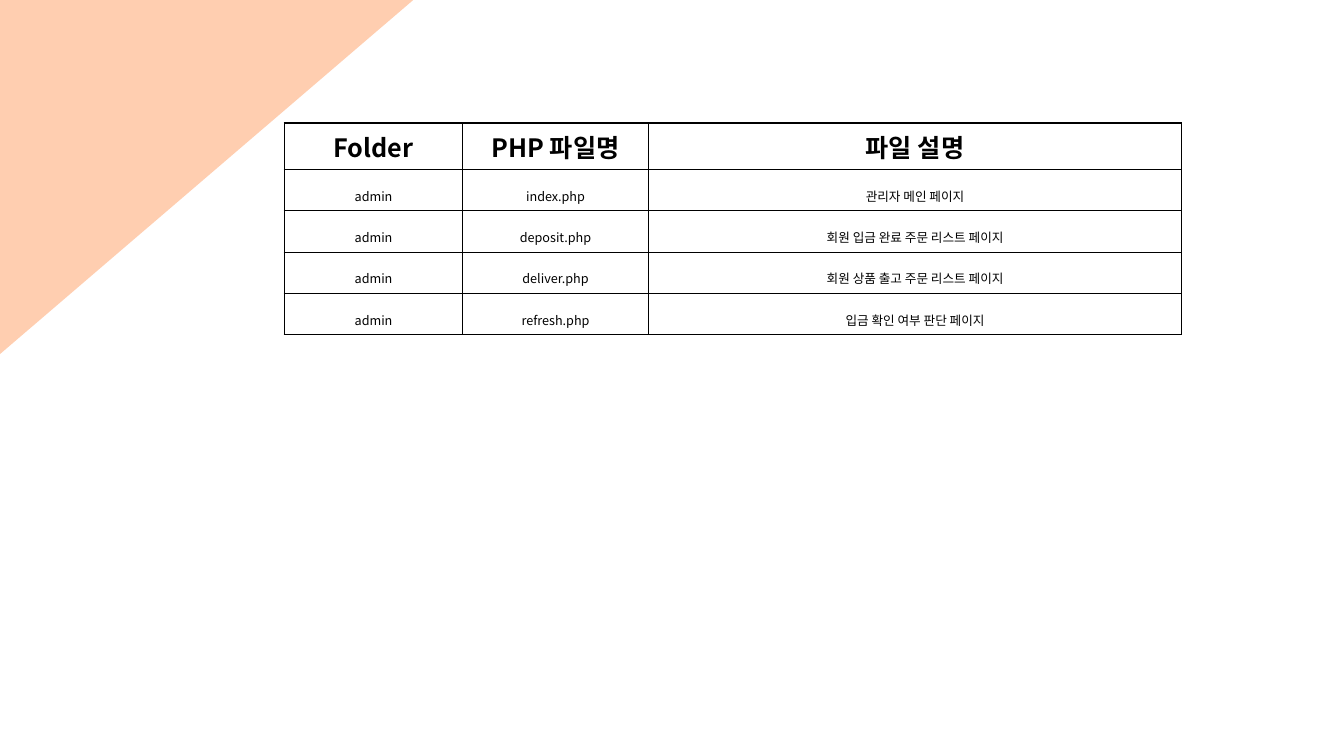
import pptx
import pptx.util
import pptx.dml.color
import pptx.enum.shapes
import pptx.enum.text
import pptx.oxml.ns
import lxml.etree

Inch = pptx.util.Inches
Anchor = pptx.enum.text.MSO_ANCHOR
qn = pptx.oxml.ns.qn
COLORS = {"peach": "FFCEB0", "ink": "000000"}
FONT = "Noto Sans CJK KR"


def write(cell, text, size=9, bold=False, space=1.6, anchor=Anchor.MIDDLE):
    cell.vertical_anchor = anchor
    para = cell.text_frame.paragraphs[0]
    para.alignment = pptx.enum.text.PP_ALIGN.CENTER
    para.line_spacing = space
    run = para.add_run()
    run.text = text
    font = run.font
    font.size, font.bold = pptx.util.Pt(size), bold
    font.color.rgb = pptx.dml.color.RGBColor.from_string(COLORS["ink"])
    font.name = FONT
    east = lxml.etree.SubElement(run._r.get_or_add_rPr(), qn("a:ea"))
    east.set("typeface", FONT)


def frame(cell):
    cell.fill.background()
    props = cell._tc.get_or_add_tcPr()
    for spot, side in enumerate("LRTB"):
        line = lxml.etree.Element(qn("a:ln" + side), w=str(pptx.util.Pt(1)))
        fill = lxml.etree.SubElement(line, qn("a:solidFill"))
        lxml.etree.SubElement(fill, qn("a:srgbClr"), val=COLORS["ink"])
        props.insert(spot, line)


# Slide
deck = pptx.Presentation()
deck.slide_width, deck.slide_height = Inch(13.33), Inch(7.5)
slide = deck.slides.add_slide(deck.slide_layouts[6])

# Corner triangle
corner = slide.shapes.add_shape(
    pptx.enum.shapes.MSO_SHAPE.ISOSCELES_TRIANGLE,
    Inch(-1.95), Inch(-0.84), Inch(5.84), Inch(3.04))
corner.rotation = 319.4
corner.shadow.inherit = False
corner.fill.solid()
corner.fill.fore_color.rgb = pptx.dml.color.RGBColor.from_string(COLORS["peach"])
corner.line.fill.background()

# File table
HEAD = ["Folder", "PHP 파일명", "파일 설명"]
FILES = [
    ("index.php", "관리자 메인 페이지"),
    ("deposit.php", "회원 입금 완료 주문 리스트 페이지"),
    ("deliver.php", "회원 상품 출고 주문 리스트 페이지"),
    ("refresh.php", "입금 확인 여부 판단 페이지"),
]
WIDTHS = [1.77, 1.84, 5.29]
ROW = 0.41
rows = [HEAD] + [("admin", *file) for file in FILES]
table = slide.shapes.add_table(
    len(rows), len(HEAD), Inch(2.82), Inch(1.22),
    Inch(sum(WIDTHS)), Inch(ROW * len(rows))).table
table.first_row = table.horz_banding = False
for col, width in zip(table.columns, WIDTHS):
    col.width = Inch(width)
for r, row in enumerate(rows):
    table.rows[r].height = Inch(ROW)
    for c, text in enumerate(row):
        cell = table.cell(r, c)
        frame(cell)
        if r == 0:
            write(cell, text, size=18, bold=True, space=1, anchor=Anchor.TOP)
        else:
            write(cell, text)

deck.save("out.pptx")
